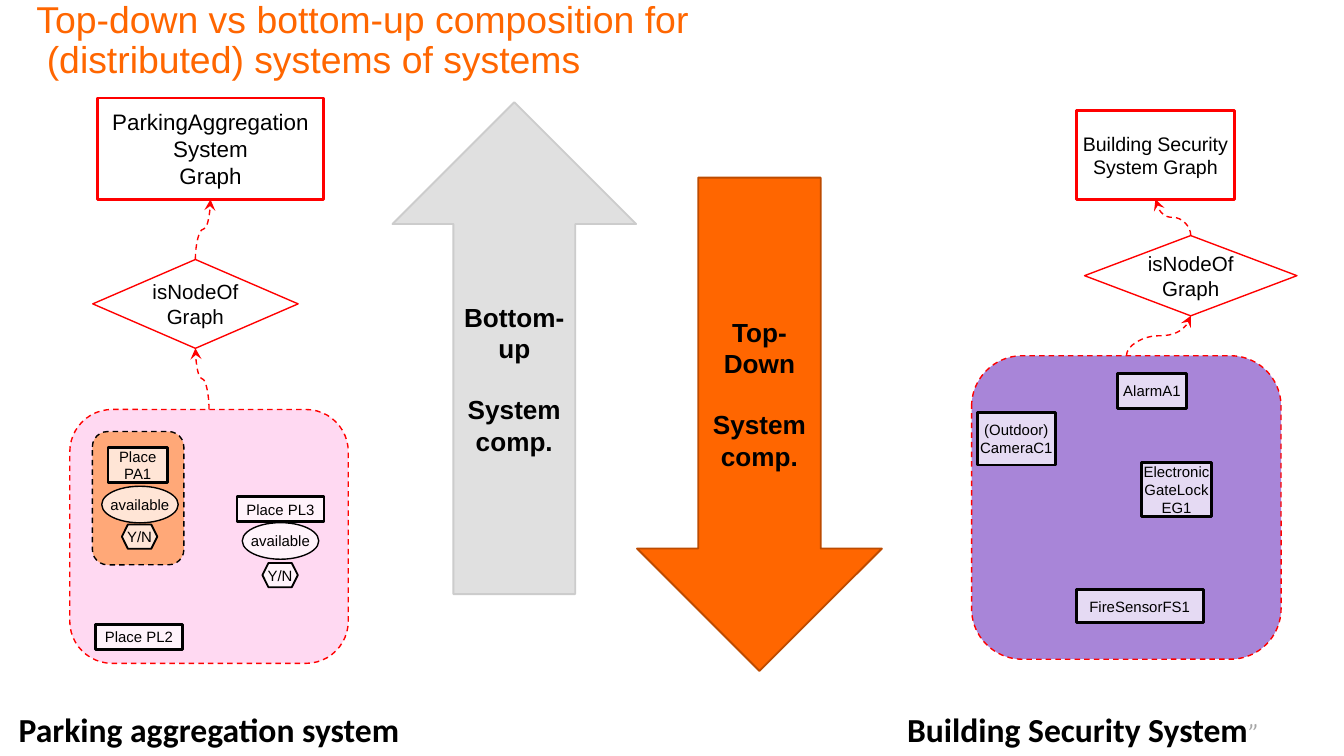
from lxml import etree
from pptx import Presentation
from pptx import util as u
from pptx.dml.color import RGBColor
from pptx.enum import dml, shapes, text
from pptx.oxml.ns import qn

Pt = u.Pt
Kind = shapes.MSO_SHAPE
BLACK = RGBColor(0, 0, 0)
WHITE = RGBColor(255, 255, 255)
RED = RGBColor(255, 0, 0)
ORANGE = RGBColor(0xFF, 0x66, 0)
DARK_ORANGE = RGBColor(0xBD, 0x4B, 0)
LIGHT_GRAY = RGBColor(0xE0, 0xE0, 0xE0)
SILVER = RGBColor(0xCC, 0xCC, 0xCC)
QUOTE_GRAY = RGBColor(0xA6, 0xA6, 0xA6)
PINK = RGBColor(0xFF, 0xB4, 0xE6)
AMBER = RGBColor(0xFF, 0x79, 0)
PURPLE = RGBColor(0xA8, 0x85, 0xD8)

TITLE = "Top-down vs bottom-up composition for \v (distributed) systems of systems"
ARROWS = [
    (Kind.DOWN_ARROW, (341.3, 95.2, 131.2, 264.3), ORANGE, DARK_ORANGE, ["Top-Down", "System comp."]),
    (Kind.UP_ARROW, (210.3, 54.8, 130.5, 263.5), LIGHT_GRAY, SILVER, ["Bottom-up", "System comp."]),
]
CAPTIONS = [
    ((5, 376.6, 217, 27.4), "Parking aggregation system", ""),
    ((481, 377, 201, 27.4), "Building Security System", "”"),
]
PANELS = {
    "parking": ((37.4, 219.4, 149.2, 136), PINK, 50, RED),
    "place": ((49.5, 231.2, 49, 71.4), AMBER, 50, BLACK),
    "building": ((520.5, 190.6, 165.8, 162.6), PURPLE, 100, RED),
}
GRAPHS = {
    "parking": ((52.2, 52.5, 121.2, 54.4), ["ParkingAggregation", "System\vGraph"], 12),
    "building": ((576.5, 59.2, 85, 47.6), ["Building Security System Graph"], 10.5),
}
DECISIONS = {
    "parking": (49.7, 139, 110, 47.6),
    "building": (581, 126.2, 113.8, 43),
}
NODES = [
    ((127, 265.9, 46.6, 13.7), ["Place PL3"]),
    ((57.9, 239.8, 31.8, 18.7), ["Place PA1"]),
    ((51.2, 334.4, 46.6, 13.7), ["Place PL2"]),
    ((523.5, 221.2, 42, 28), ["(Outdoor)", "CameraC1"]),
    ((611.6, 247.8, 37.4, 29), ["ElectronicGateLockEG1"]),
    ((598.8, 200.2, 36.7, 18.5), ["AlarmA1"]),
    ((576.6, 316, 68, 17.5), ["FireSensorFS1"]),
]
ATTRIBUTES = [(129.8, 280, 301.6), (54.5, 260.5, 281)]


def write(shape, paragraphs, size, bold=False, gap=0, margins=(0, 0), wrap=True):
    frame = shape.text_frame
    frame.word_wrap = wrap
    frame.vertical_anchor = text.MSO_ANCHOR.MIDDLE
    frame.margin_left = frame.margin_right = Pt(margins[0])
    frame.margin_top = frame.margin_bottom = Pt(margins[1])
    frame.text = "\n".join(paragraphs)
    for index, paragraph in enumerate(frame.paragraphs):
        paragraph.alignment = text.PP_ALIGN.CENTER
        if index and gap:
            paragraph.space_before = Pt(gap)
        style(paragraph.font, "Arial", size, BLACK, bold)


def style(font, name, size, color, bold=False):
    font.name = name
    font.size = Pt(size)
    font.bold = bold
    font.color.rgb = color


def add_box(kind, box, fill, line, width, opacity=100, dashed=False):
    shape = slide.shapes.add_shape(kind, *map(Pt, box))
    shape.shadow.inherit = False
    shape.fill.solid()
    shape.fill.fore_color.rgb = fill
    if opacity < 100:
        color = shape._element.spPr.find(qn("a:solidFill"))[0]
        etree.SubElement(color, qn("a:alpha"), val=str(opacity * 1000))
    shape.line.color.rgb = line
    shape.line.width = Pt(width)
    if dashed:
        shape.line.dash_style = dml.MSO_LINE.DASH
    return shape


def add_panel(name):
    box, fill, opacity, line = PANELS[name]
    return add_box(Kind.ROUNDED_RECTANGLE, box, fill, line, 0.75, opacity, True)


def connect_upward(lower, upper):
    connector = slide.shapes.add_connector(shapes.MSO_CONNECTOR.CURVE, 0, 0, 0, 0)
    connector.begin_connect(lower, 0)
    connector.end_connect(upper, 2)
    start_x, start_y = lower.left + lower.width // 2, lower.top
    end_x, end_y = upper.left + upper.width // 2, upper.top + upper.height
    run, rise = abs(end_x - start_x), start_y - end_y
    connector.left = (start_x + end_x - rise) // 2
    connector.top = (start_y + end_y - run) // 2
    connector.width, connector.height = rise, run
    properties = connector._element.spPr
    rightward = end_x > start_x
    properties.xfrm.set("rot", "5400000" if rightward else "16200000")
    properties.xfrm.set("flipH", "1" if rightward else "0")
    properties.xfrm.set("flipV", "1")
    connector.line.color.rgb = RED
    connector.line.width = Pt(0.75)
    connector.line.dash_style = dml.MSO_LINE.DASH
    etree.SubElement(properties.find(qn("a:ln")), qn("a:tailEnd"), type="stealth")
    etree.SubElement(properties, qn("a:effectLst"))


presentation = Presentation()
presentation.slide_width, presentation.slide_height = Pt(720), Pt(405)
slide = presentation.slides.add_slide(presentation.slide_layouts[5])

title = slide.shapes.title
title.left, title.top, title.width, title.height = map(Pt, (19.5, 0.7, 666.7, 49))
frame = title.text_frame
frame.text = TITLE
frame.auto_size = text.MSO_AUTO_SIZE.NONE
frame.vertical_anchor = text.MSO_ANCHOR.TOP
frame.margin_left = frame.margin_right = frame.margin_top = frame.margin_bottom = 0
paragraph = frame.paragraphs[0]
paragraph.alignment = text.PP_ALIGN.LEFT
paragraph.line_spacing = 0.9
style(paragraph.font, "Arial", 20, ORANGE)

for kind, box, fill, line, words in ARROWS:
    write(add_box(kind, box, fill, line, 1), words, 14, True, 16, (5, 3))

for box, caption, mark in CAPTIONS:
    frame = slide.shapes.add_textbox(*map(Pt, box)).text_frame
    frame.word_wrap = False
    frame.margin_left = frame.margin_right = Pt(5)
    frame.margin_top = frame.margin_bottom = Pt(3)
    paragraph = frame.paragraphs[0]
    paragraph.add_run().text = caption
    style(paragraph.font, "Calibri", 18, BLACK, True)
    if mark:
        run = paragraph.add_run()
        run.text = mark
        style(run.font, "Calibri", 14, QUOTE_GRAY)
        run.font.italic = True

panels = {name: add_panel(name) for name in PANELS}

for name, (box, words, size) in GRAPHS.items():
    graph = add_box(Kind.RECTANGLE, box, WHITE, RED, 1.5, 70)
    write(graph, words, size)
    decision = add_box(Kind.FLOWCHART_DECISION, DECISIONS[name], WHITE, RED, 0.75, 70)
    write(decision, ["isNodeOf\vGraph"], 11, margins=(0, 3.6))
    connect_upward(panels[name], decision)
    connect_upward(decision, graph)

for box, words in NODES:
    write(add_box(Kind.RECTANGLE, box, WHITE, BLACK, 1.5, 70), words, 8)

for left, top, value_top in ATTRIBUTES:
    for kind, box, width, word in [
        (Kind.OVAL, (left, top, 41, 19.6), 0.75, "available"),
        (Kind.HEXAGON, (left + 10.8, value_top, 19, 13), 1, "Y/N"),
    ]:
        shape = add_box(kind, box, WHITE, BLACK, width, 70)
        write(shape, [word], 8, margins=(0, 3.6), wrap=False)

presentation.save("out.pptx")
